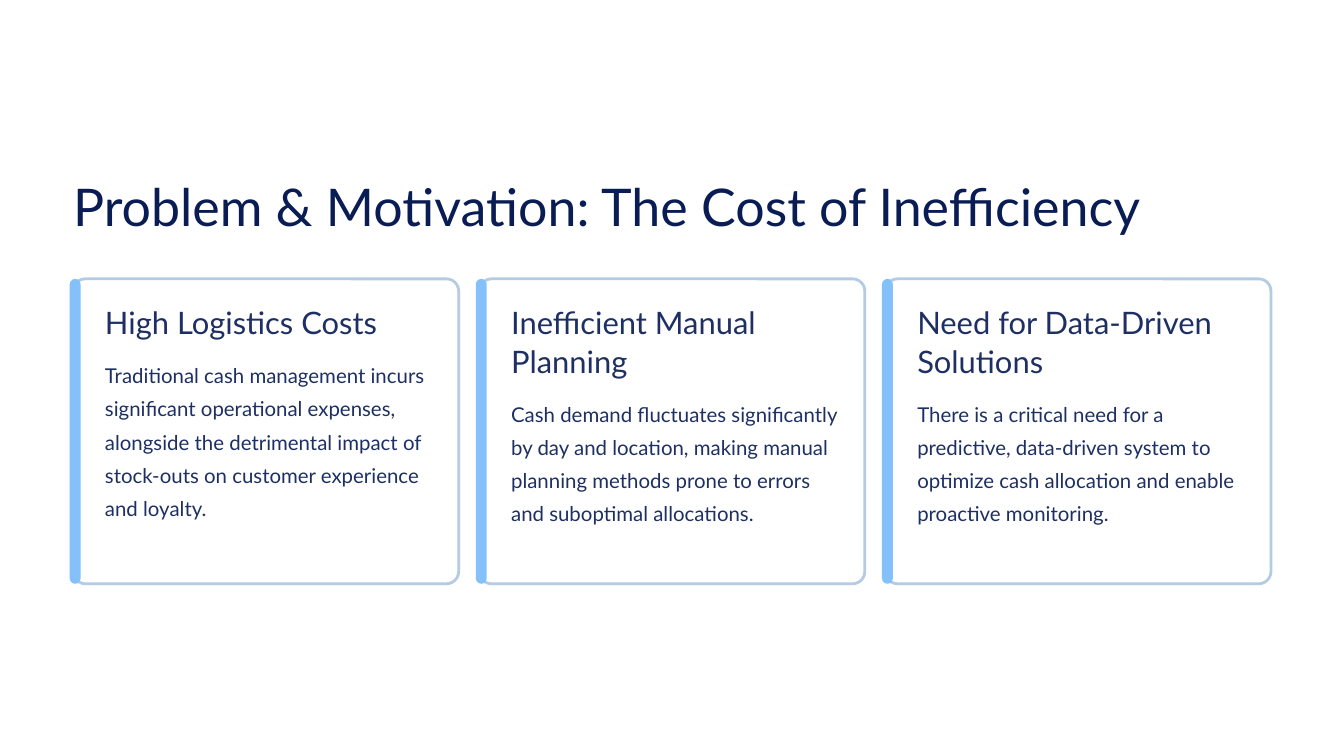
"""Build the slide on the cost of inefficiency in cash management."""
from dataclasses import dataclass

from pptx import Presentation
from pptx import util as u
from pptx.dml.color import RGBColor
from pptx.enum import shapes, text

COLORS = {"background": "FFFFFF", "title": "091C53", "text": "1E3063",
          "border": "B4CCE3", "accent": "84C1FA"}
STYLES = {
    "title": {"size": 44.5, "spacing": 55.5, "color": "title"},
    "heading": {"size": 26.5, "spacing": 33, "color": "text"},
    "body": {"size": 17.5, "spacing": 28.5, "color": "text"},
}
CARD_LEFT, CARD_TOP, CARD_WIDTH, CARD_HEIGHT = 0.87, 3.32, 4.59, 3.63
CARD_PITCH = 9.67 / 2
BAR_OFFSET, BAR_WIDTH = -0.04, 0.13
TEXT_OFFSET, TEXT_WIDTH, HEADING_TOP = 0.38, 3.93, 3.6
HEADING_LINE, BODY_LINE, TEXT_GAP = 0.46, 0.4, 0.16


@dataclass(frozen=True)
class Card:
    heading: str
    heading_lines: int
    body: str
    body_lines: int


CARDS = [
    Card("High Logistics Costs", 1,
         "Traditional cash management incurs significant operational expenses, "
         "alongside the detrimental impact of stock-outs on customer experience "
         "and loyalty.", 5),
    Card("Inefficient Manual Planning", 2,
         "Cash demand fluctuates significantly by day and location, making manual "
         "planning methods prone to errors and suboptimal allocations.", 4),
    Card("Need for Data-Driven Solutions", 2,
         "There is a critical need for a predictive, data-driven system to optimize "
         "cash allocation and enable proactive monitoring.", 4),
]


def color(name: str) -> RGBColor:
    return RGBColor.from_string(COLORS[name])


def set_attributes(target: object, values: dict) -> None:
    for name, value in values.items():
        setattr(target, name, value)


def add_text(slide, content: str, style_name: str, left: float, top: float,
             width: float, height: float) -> None:
    style = STYLES[style_name]
    box = slide.shapes.add_textbox(*map(u.Inches, (left, top, width, height)))
    frame = box.text_frame
    set_attributes(frame, {"margin_left": 0, "margin_top": 0, "margin_right": 0,
                           "margin_bottom": 0, "word_wrap": True,
                           "vertical_anchor": text.MSO_ANCHOR.TOP})
    paragraph = frame.paragraphs[0]
    paragraph.line_spacing = u.Pt(style["spacing"])
    run = paragraph.add_run()
    run.text = content
    set_attributes(run.font, {"name": "Lato", "size": u.Pt(style["size"])})
    run.font.color.rgb = color(style["color"])


def add_panel(slide, left: float, width: float, rounding: float, fill: str,
              border: str | None = None) -> None:
    shape = slide.shapes.add_shape(
        shapes.MSO_SHAPE.ROUNDED_RECTANGLE,
        *map(u.Inches, (left, CARD_TOP, width, CARD_HEIGHT)))
    shape.adjustments[0] = rounding
    shape.shadow.inherit = False
    shape.fill.solid()
    shape.fill.fore_color.rgb = color(fill)
    if border:
        shape.line.color.rgb = color(border)
        shape.line.width = u.Pt(2.4)
    else:
        shape.line.fill.background()


def add_card(slide, card: Card, left: float) -> None:
    add_panel(slide, left, CARD_WIDTH, 0.04, "background", "border")
    add_panel(slide, left + BAR_OFFSET, BAR_WIDTH, 0.5, "accent")
    text_left = left + TEXT_OFFSET
    heading_height = card.heading_lines * HEADING_LINE
    add_text(slide, card.heading, "heading", text_left, HEADING_TOP,
             TEXT_WIDTH, heading_height)
    add_text(slide, card.body, "body", text_left,
             HEADING_TOP + heading_height + TEXT_GAP,
             TEXT_WIDTH, card.body_lines * BODY_LINE)


def main() -> None:
    presentation = Presentation()
    set_attributes(presentation, {"slide_width": u.Inches(16),
                                  "slide_height": u.Inches(9)})
    slide = presentation.slides.add_slide(presentation.slide_layouts[6])
    slide.background.fill.solid()
    slide.background.fill.fore_color.rgb = color("background")
    add_text(slide, "Problem & Motivation: The Cost of Inefficiency", "title",
             CARD_LEFT, 2.05, 13.52, 0.78)
    for index, card in enumerate(CARDS):
        add_card(slide, card, CARD_LEFT + index * CARD_PITCH)
    presentation.save("out.pptx")


if __name__ == "__main__":
    main()
